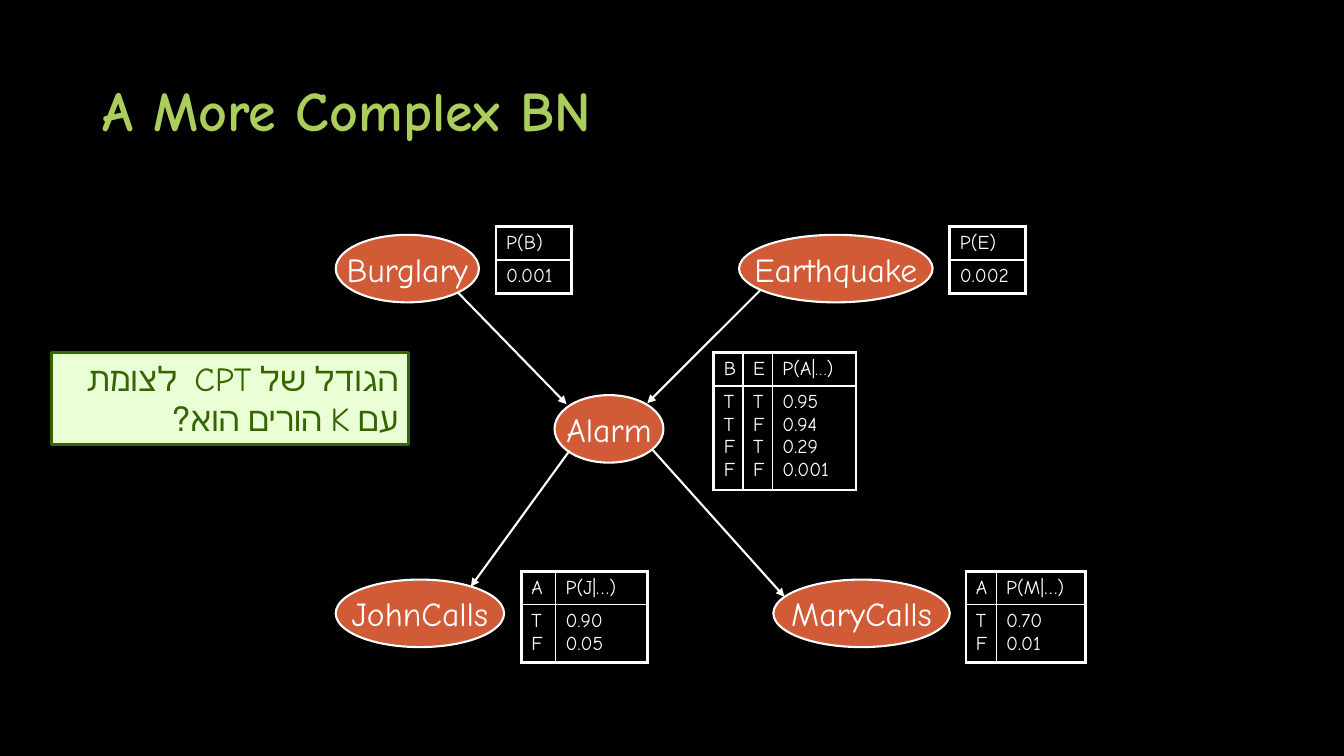
from dataclasses import dataclass

from lxml import etree
from pptx import Presentation
from pptx.dml.color import RGBColor
from pptx.enum.shapes import MSO_CONNECTOR, MSO_SHAPE
from pptx.enum.text import MSO_ANCHOR, MSO_AUTO_SIZE, PP_ALIGN
from pptx.oxml.ns import qn
from pptx.util import Inches, Pt


@dataclass(frozen=True)
class Theme:
    font: str = "Comic Neue"
    background: str = "000000"
    title: str = "AACD5B"
    ink: str = "FFFFFF"
    node: str = "D15B37"
    question_fill: str = "EAFFD5"
    question_ink: str = "336600"
    title_size: int = 40
    label_size: int = 24
    cell_size: int = 14
    dots_size: int = 12
    outer_line: float = 2.25
    inner_line: float = 1
    node_line: float = 1.5


THEME = Theme()
HEADER_ROW = 0.33

# Network nodes: name -> box
NODES = {
    "Burglary": (3.33, 2.33, 1.42, 0.67),
    "Earthquake": (7.33, 2.33, 1.92, 0.67),
    "Alarm": (5.5, 3.92, 1.08, 0.67),
    "MaryCalls": (7.67, 5.75, 1.75, 0.67),
    "JohnCalls": (3.33, 5.75, 1.67, 0.67),
}

# Cause to effect: start point, end point
ARROWS = [
    ((4.54, 2.9), (5.62, 4.01)),
    ((7.54, 2.88), (6.42, 4)),
    ((5.65, 4.47), (4.67, 5.82)),
    ((6.47, 4.46), (7.78, 5.92)),
]

# Probability tables: corner, column widths, body height, header, body
ALARM_HEADER = [("P(A|", THEME.cell_size), ("…", THEME.dots_size), (")", THEME.cell_size)]
CPTS = [
    ((7.08, 3.5), (0.29, 0.29, 0.83), 1.03,
     ("B", "E", ALARM_HEADER), ("TTFF", "TFTF", "0.95\n0.94\n0.29\n0.001")),
    ((4.92, 2.25), (0.75,), 0.33, ("P(B)",), ("0.001",)),
    ((9.42, 2.25), (0.75,), 0.33, ("P(E)",), ("0.002",)),
    ((5.17, 5.67), (0.34, 0.91), 0.57, ("A", "P(J|…)"), ("TF", "0.90\n0.05")),
    ((9.58, 5.67), (0.3, 0.89), 0.57, ("A", "P(M|…)"), ("TF", "0.70\n0.01")),
]


def rgb(color):
    return RGBColor.from_string(color)


def add_run(paragraph, text, size, color, bold=False):
    run = paragraph.add_run()
    run.text = text
    run.font.name = THEME.font
    run.font.size = Pt(size)
    run.font.bold = bold
    run.font.color.rgb = rgb(color)


def add_panel(slide, preset, box, fill, line, width):
    panel = slide.shapes.add_shape(preset, *map(Inches, box))
    panel.shadow.inherit = False
    panel.fill.solid()
    panel.fill.fore_color.rgb = rgb(fill)
    panel.line.color.rgb = rgb(line)
    panel.line.width = Pt(width)
    return panel


def add_title(slide, box, text):
    title = slide.shapes.title
    title.left, title.top, title.width, title.height = map(Inches, box)
    frame = title.text_frame
    frame.auto_size = MSO_AUTO_SIZE.NONE
    frame.vertical_anchor = MSO_ANCHOR.MIDDLE
    heading = frame.paragraphs[0]
    heading.alignment = PP_ALIGN.LEFT
    heading.line_spacing = 0.9
    add_run(heading, text, THEME.title_size, THEME.title, bold=True)


def add_node(slide, box, name):
    node = add_panel(slide, MSO_SHAPE.OVAL, box, THEME.node, THEME.ink, THEME.node_line)
    frame = node.text_frame
    frame.word_wrap = False
    frame.vertical_anchor = MSO_ANCHOR.MIDDLE
    label = frame.paragraphs[0]
    label.alignment = PP_ALIGN.CENTER
    add_run(label, name, THEME.label_size, THEME.ink)


def add_arrow(slide, start, end):
    arrow = slide.shapes.add_connector(MSO_CONNECTOR.STRAIGHT, *map(Inches, start + end))
    arrow.line.color.rgb = rgb(THEME.ink)
    arrow.line.width = Pt(THEME.node_line)
    etree.SubElement(arrow.line._get_or_add_ln(), qn("a:tailEnd"), type="triangle")
    etree.SubElement(arrow._element.spPr, qn("a:effectLst"))


def set_borders(cell, outer_sides):
    """Heavy lines on the outer sides (letters of LRTB), thin ones elsewhere."""
    properties = cell._tc.get_or_add_tcPr()
    for place, side in enumerate("LRTB"):
        width = THEME.outer_line if side in outer_sides else THEME.inner_line
        border = etree.Element(qn(f"a:ln{side}"), w=str(Pt(width)))
        fill = etree.SubElement(border, qn("a:solidFill"))
        etree.SubElement(fill, qn("a:srgbClr"), val=THEME.ink)
        properties.insert(place, border)


def fill_cell(cell, content):
    entry = cell.text_frame.paragraphs[0]
    if isinstance(content, list):
        for text, size in content:
            add_run(entry, text, size, THEME.ink)
        return
    for number, line in enumerate(content.split("\n")):
        if number:
            entry.add_line_break()
        add_run(entry, line, THEME.cell_size, THEME.ink)


def add_cpt(slide, corner, widths, body_height, header, body):
    heights = (HEADER_ROW, body_height)
    box = (*corner, sum(widths), sum(heights))
    cpt = slide.shapes.add_table(2, len(widths), *map(Inches, box)).table
    cpt.first_row = cpt.horz_banding = False
    for column, width in zip(cpt.columns, widths):
        column.width = Inches(width)
    for r, contents in enumerate((header, body)):
        cpt.rows[r].height = Inches(heights[r])
        for c, content in enumerate(contents):
            cell = cpt.cell(r, c)
            cell.fill.background()
            outer = "B" if r else "T"
            outer += "L" if c == 0 else ""
            outer += "R" if c == len(widths) - 1 else ""
            set_borders(cell, outer)
            fill_cell(cell, content)


def add_question(slide, box, text):
    question = add_panel(slide, MSO_SHAPE.RECTANGLE, box, THEME.question_fill,
                         THEME.question_ink, THEME.outer_line)
    frame = question.text_frame
    frame.word_wrap = True
    frame.auto_size = MSO_AUTO_SIZE.SHAPE_TO_FIT_TEXT
    frame.vertical_anchor = MSO_ANCHOR.TOP
    sentence = frame.paragraphs[0]
    sentence.alignment = PP_ALIGN.RIGHT
    sentence._p.get_or_add_pPr().set("rtl", "1")
    add_run(sentence, text, THEME.label_size, THEME.question_ink)


def build_network_slide(deck):
    slide = deck.slides.add_slide(deck.slide_layouts[5])
    slide.background.fill.solid()
    slide.background.fill.fore_color.rgb = rgb(THEME.background)
    add_title(slide, (0.92, 0.4, 11.5, 1.45), "A More Complex BN")
    # Network
    for name, box in NODES.items():
        add_node(slide, box, name)
    for start, end in ARROWS:
        add_arrow(slide, start, end)
    # Conditional probability tables
    for cpt in CPTS:
        add_cpt(slide, *cpt)
    # Question to the class
    add_question(slide, (0.51, 3.5, 3.54, 0.91), "הגודל של CPT  לצומת עם K הורים הוא?")


def main():
    deck = Presentation()
    deck.slide_width, deck.slide_height = Inches(13.33), Inches(7.5)
    build_network_slide(deck)
    deck.save("out.pptx")


if __name__ == "__main__":
    main()
